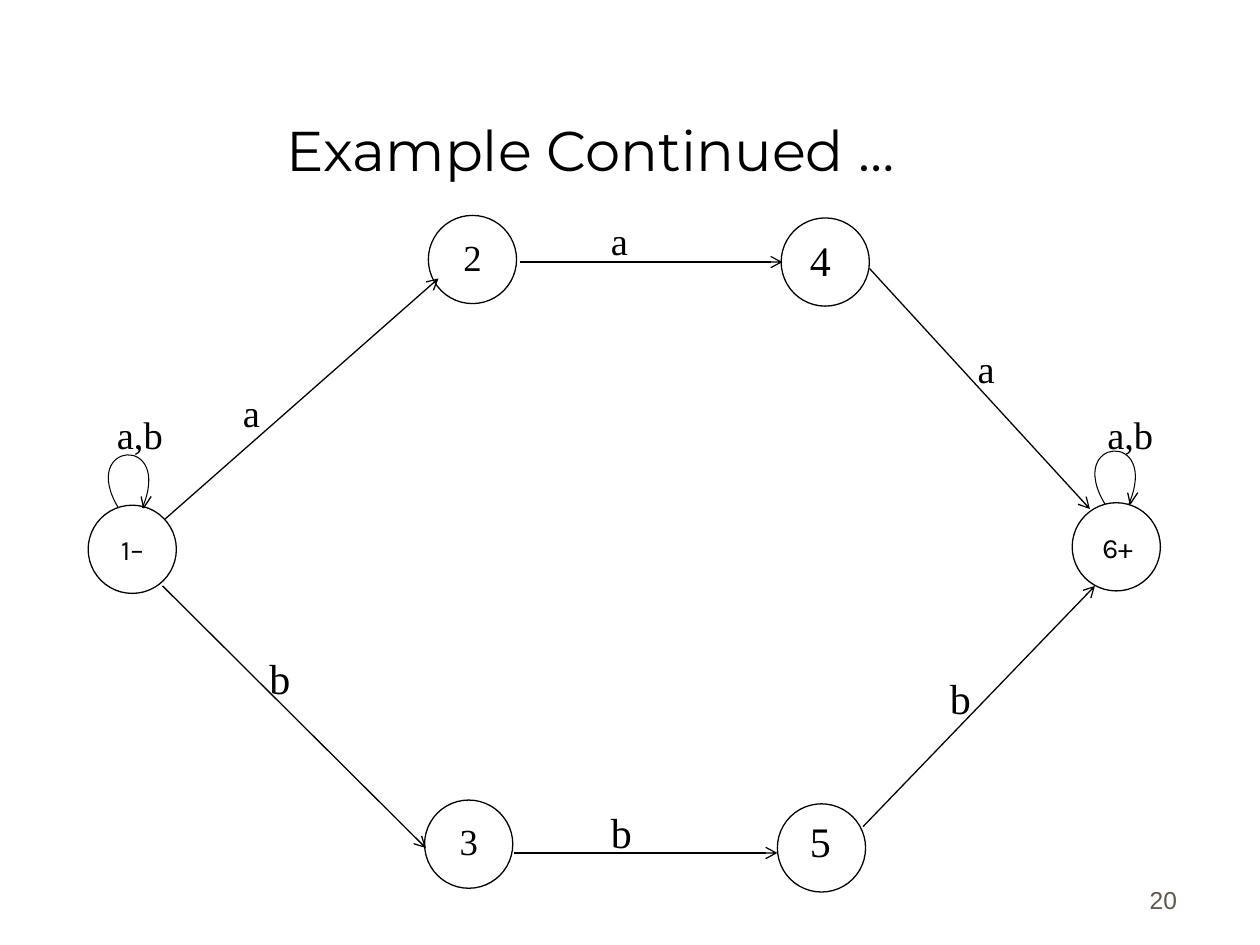
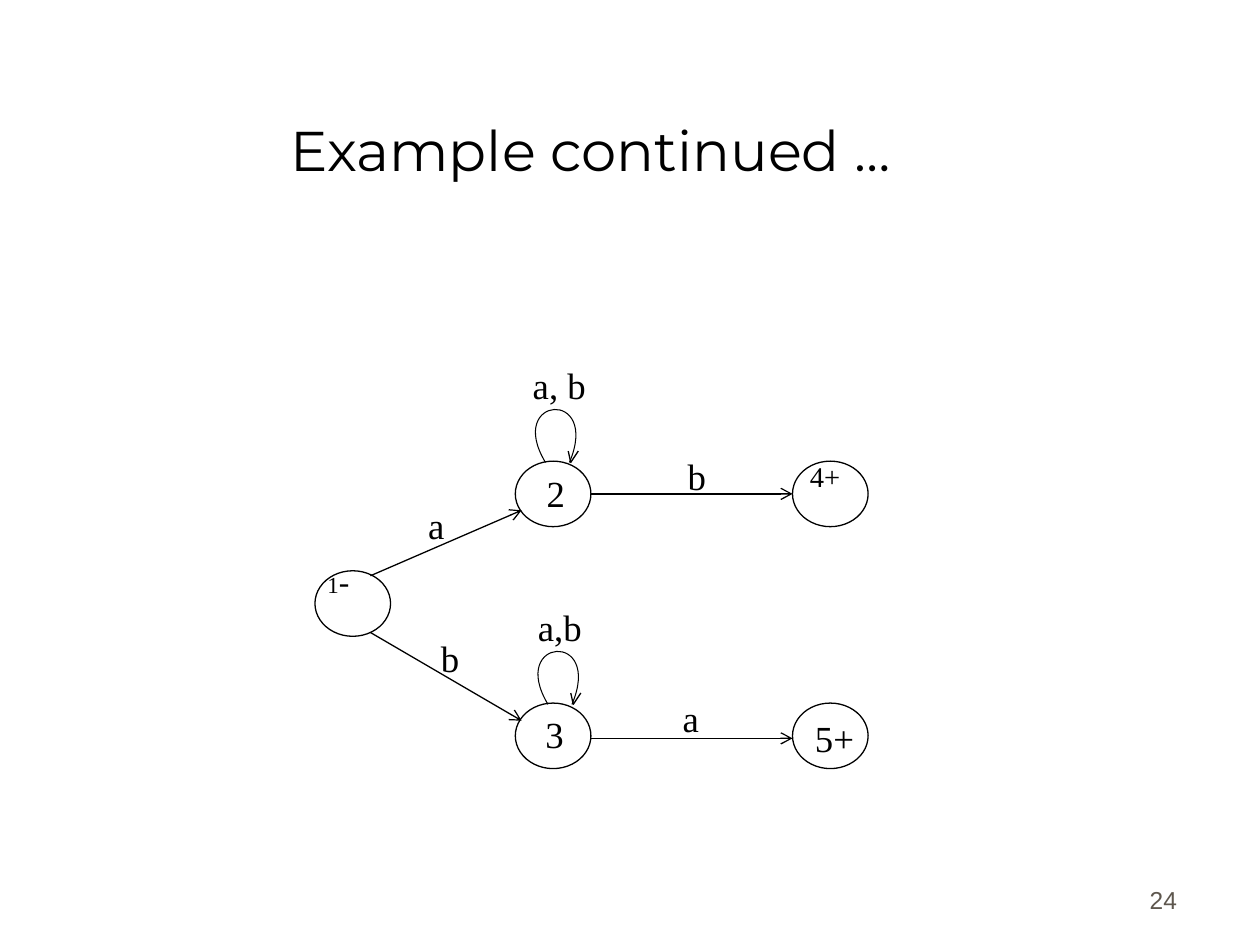
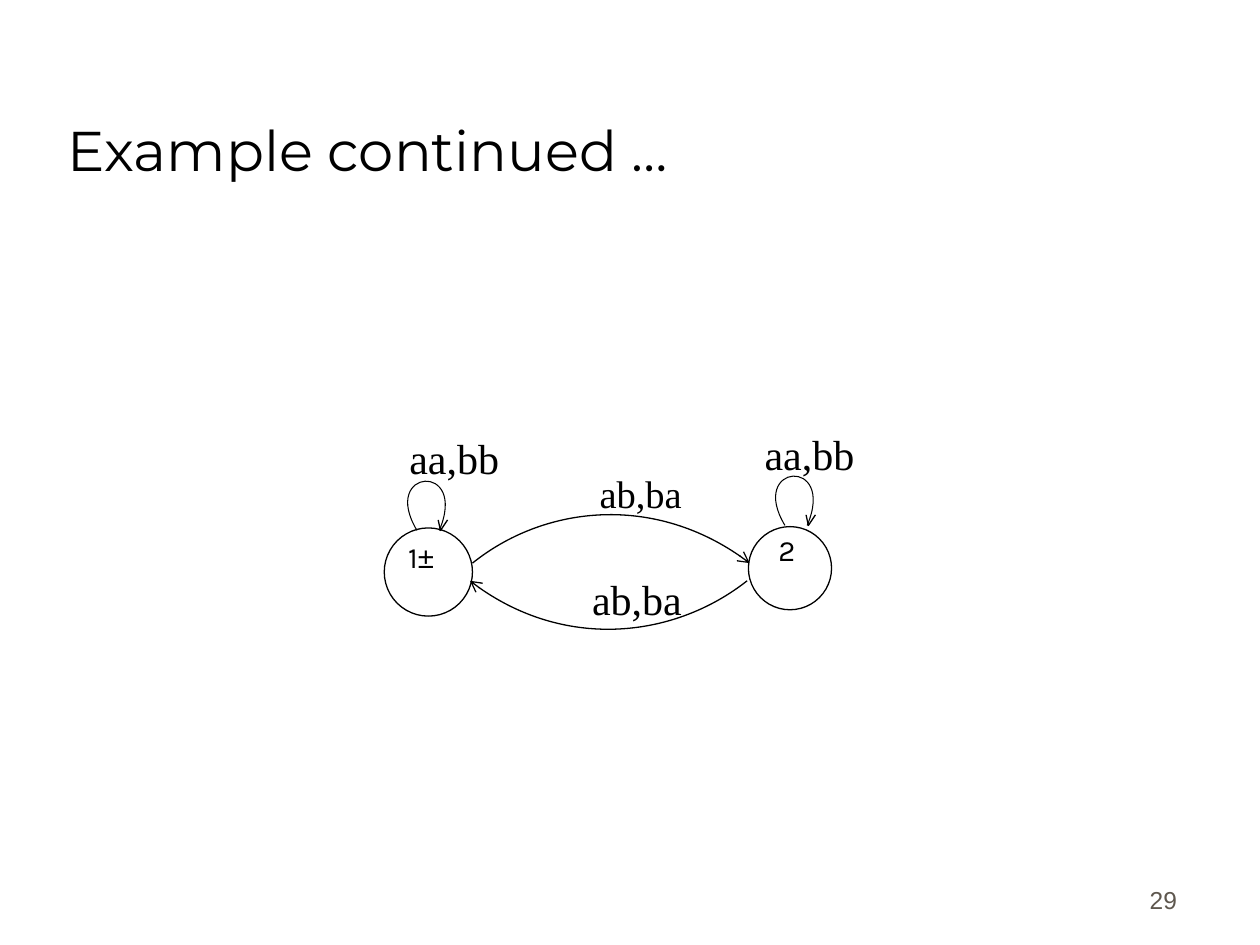
from dataclasses import dataclass

from lxml import etree
from pptx import Presentation
from pptx.dml.color import RGBColor
from pptx.enum.shapes import MSO_CONNECTOR, MSO_SHAPE
from pptx.enum.text import MSO_ANCHOR, PP_ALIGN
from pptx.oxml.ns import qn
from pptx.util import Inches, Pt

LEFT, CENTER, RIGHT = PP_ALIGN.LEFT, PP_ALIGN.CENTER, PP_ALIGN.RIGHT
TOP, BOTTOM = MSO_ANCHOR.TOP, MSO_ANCHOR.BOTTOM
ELLIPSE, STRAIGHT = MSO_SHAPE.OVAL, MSO_CONNECTOR.STRAIGHT


@dataclass(frozen=True)
class Theme:
    ink: RGBColor = RGBColor(0x00, 0x00, 0x00)
    paper: RGBColor = RGBColor(0xFF, 0xFF, 0xFF)
    muted: RGBColor = RGBColor(0x5E, 0x57, 0x4E)
    title_font: str = "Montserrat"
    label_font: str = "Times New Roman"
    state_font: str = "Karla"
    number_font: str = "Arial"
    title_size: float = 32
    number_size: float = 14
    state_size: float = 16
    tight_state_size: float = 16.8
    small_label: float = 21
    label: float = 22
    large_label: float = 24
    line_width: float = 0.75
    loop_width: float = 0.6


THEME = Theme()
TITLE_BOX = (0.44, 0.25, 8.5, 1.25)
NUMBER_BOX = (7.36, 6.81, 2.08, 0.5)
LOOP_CURVE = [(0, 0), (-0.32, -0.53), (0.44, -0.59), (0.19, 0)]
LOOP_HEAD = [(0.26, -0.09), (0.2, 0), (0.18, -0.09)]

SMALL, MEDIUM, LARGE = THEME.small_label, THEME.label, THEME.large_label
STATE = dict(font=THEME.state_font, size=THEME.state_size, align=CENTER)
TIGHT_STATE = dict(font=THEME.state_font, size=THEME.tight_state_size, spacing=0.8)

SLIDES = [
    dict(
        title="Example Continued …", title_align=CENTER, number="20",
        state_size=(0.7, 0.7), label_size=(0.98, 0.67), loop_scale=1,
        states=[(3.4, 1.71, "2"), (0.7, 4.01), (3.37, 6.35, "3"),
                (8.51, 3.99), (6.2, 1.73), (6.17, 6.38)],
        arrows=[(4.13, 2.08, 6.21, 2.08), (4.08, 6.77, 6.17, 6.77),
                (1.31, 4.12, 3.48, 2.21), (1.29, 4.65, 3.38, 6.73),
                (6.85, 6.56, 8.69, 4.65), (6.9, 2.13, 8.65, 4.04)],
        curves=[],
        loops=[(8.77, 4), (0.94, 4.03)],
        labels=[
            ("1–", 0.56, 4.18, STATE), ("6+", 8.38, 4.16, STATE),
            ("4", 6.33, 1.81, dict(size=LARGE)), ("5", 6.33, 6.42, dict(size=LARGE)),
            ("a", 1.83, 3.04, dict(size=MEDIUM)), ("a", 4.75, 1.67, dict(size=MEDIUM)),
            ("a", 7.66, 2.69, dict(size=MEDIUM)), ("b", 2.04, 5.13, dict(size=LARGE)),
            ("b", 4.75, 6.35, dict(size=LARGE)), ("b", 7.44, 5.29, dict(size=LARGE)),
            ("a,b", 0.83, 3.21, dict(size=MEDIUM)), ("a,b", 8.69, 3.21, dict(size=MEDIUM)),
        ],
    ),
    dict(
        title="Example continued …", title_align=CENTER, number="24",
        state_size=(0.6, 0.52), label_size=(0.7, 0.53), loop_scale=1,
        states=[(2.5, 4.53), (4.09, 3.66), (6.29, 3.66), (4.09, 5.58), (6.29, 5.58)],
        arrows=[(2.94, 4.57, 4.14, 4.05), (4.69, 3.92, 6.29, 3.92),
                (2.94, 5.02, 4.14, 5.72), (4.69, 5.86, 6.29, 5.86)],
        curves=[],
        loops=[(4.33, 3.67), (4.35, 5.59)],
        labels=[
            ([("1", dict(size=13.1)), ("-", dict(size=18.1))], 2.5, 4.47, dict(spacing=0.8)),
            ("2", 4.24, 3.69, dict(size=SMALL)), ("3", 4.23, 5.6, dict(size=SMALL)),
            ("4+", 6.33, 3.65, dict(size=16.3, spacing=0.8)),
            ("5+", 6.37, 5.63, dict(size=SMALL)),
            ("a", 3.3, 3.94, dict(size=SMALL)), ("b", 3.4, 5, dict(size=SMALL)),
            ("b", 5.36, 3.55, dict(size=SMALL)), ("a", 5.32, 5.47, dict(size=SMALL)),
            ("a, b", 4.13, 2.83, dict(size=SMALL)), ("a,b", 4.17, 4.75, dict(size=SMALL)),
        ],
    ),
    dict(
        title="Example continued …", title_align=LEFT, number="29",
        state_size=(0.7, 0.7), label_size=(1.09, 0.52), loop_scale=0.93,
        states=[(3.05, 4.19), (5.94, 4.18, "", 0.66, 0.66)],
        arrows=[],
        curves=[[(5.93, 4.61), (5.36, 5.06), (4.45, 5.17), (3.73, 4.61)],
                [(3.75, 4.47), (4.31, 4.02), (5.22, 3.91), (5.95, 4.47)]],
        loops=[(3.31, 4.21), (6.23, 4.17)],
        labels=[
            ([("1", {}), ("±", dict(font="Arial"))], 3.14, 4.28, TIGHT_STATE),
            ("2", 6.08, 4.23, TIGHT_STATE),
            ("ab,ba", 4.66, 3.68, dict(size=MEDIUM)), ("ab,ba", 4.6, 4.5, dict(size=LARGE)),
            ("aa,bb", 3.15, 3.38, dict(size=LARGE)), ("aa,bb", 5.97, 3.35, dict(size=LARGE)),
        ],
    ),
]


def inches(values):
    return [Inches(value) for value in values]


def write(shape, text, *, font=THEME.label_font, size=SMALL, color=THEME.ink,
          align=LEFT, anchor=TOP, spacing=None):
    frame = shape.text_frame
    frame.word_wrap = True
    frame.vertical_anchor = anchor
    para = frame.paragraphs[0]
    para.alignment = align
    if spacing:
        para.line_spacing = spacing
    for words, changes in [(text, {})] if isinstance(text, str) else text:
        span = para.add_run()
        span.text = words
        span.font.name = changes.get("font", font)
        span.font.size = Pt(changes.get("size", size))
        span.font.color.rgb = color


def add_text(page, text, place, **style):
    write(page.shapes.add_textbox(*inches(place)), text, **style)


def style_line(shape, width=THEME.line_width, arrow=False):
    shape.line.color.rgb = THEME.ink
    shape.line.width = Pt(width)
    if arrow:
        outline = shape.line._get_or_add_ln()
        etree.SubElement(outline, qn("a:tailEnd"), type="arrow")


def add_state(page, left, top, text="", width=0.7, height=0.7):
    circle = page.shapes.add_shape(ELLIPSE, *inches((left, top, width, height)))
    circle.shadow.inherit = False
    circle.fill.solid()
    circle.fill.fore_color.rgb = THEME.paper
    style_line(circle)
    if text:
        write(circle, text, align=CENTER)


def add_arrow(page, ends):
    arrow = page.shapes.add_connector(STRAIGHT, *inches(ends))
    style_line(arrow, arrow=True)
    etree.SubElement(arrow._element.spPr, qn("a:effectLst"))


def add_outline(page, points, **line):
    start, *rest = [inches(point) for point in points]
    builder = page.shapes.build_freeform(*start)
    builder.add_line_segments(rest, close=False)
    shape = builder.convert_to_shape()
    shape.shadow.inherit = False
    shape.fill.background()
    style_line(shape, **line)
    return shape


def add_curve(page, points, **line):
    shape = add_outline(page, points, **line)
    outline = shape._element.spPr.find(".//" + qn("a:path"))
    curve = etree.SubElement(outline, qn("a:cubicBezTo"))
    for segment in outline.findall(qn("a:lnTo")):
        curve.append(segment[0])
        outline.remove(segment)


def add_loop(page, left, top, scale):
    curve, head = [
        [(left + scale * across, top + scale * down) for across, down in points]
        for points in (LOOP_CURVE, LOOP_HEAD)
    ]
    add_curve(page, curve, width=THEME.loop_width)
    add_outline(page, head)


def add_automaton(page, content):
    width, height = content["state_size"]
    for left, top, *own in content["states"]:
        text, *size = own or [""]
        add_state(page, left, top, text, *(size or (width, height)))
    for ends in content["arrows"]:
        add_arrow(page, ends)
    for points in content["curves"]:
        add_curve(page, points, arrow=True)
    for left, top in content["loops"]:
        add_loop(page, left, top, content["loop_scale"])
    for text, left, top, style in content["labels"]:
        add_text(page, text, (left, top, *content["label_size"]), **style)


def main():
    deck = Presentation()
    deck.slide_width, deck.slide_height = Inches(10), Inches(7.5)
    for content in SLIDES:
        page = deck.slides.add_slide(deck.slide_layouts[6])
        page.background.fill.solid()
        page.background.fill.fore_color.rgb = THEME.paper
        add_text(page, content["number"], NUMBER_BOX, font=THEME.number_font,
                 size=THEME.number_size, color=THEME.muted, align=RIGHT, anchor=BOTTOM)
        add_text(page, content["title"], TITLE_BOX, font=THEME.title_font,
                 size=THEME.title_size, align=content["title_align"], anchor=BOTTOM)
        add_automaton(page, content)
    deck.save("out.pptx")


if __name__ == "__main__":
    main()
